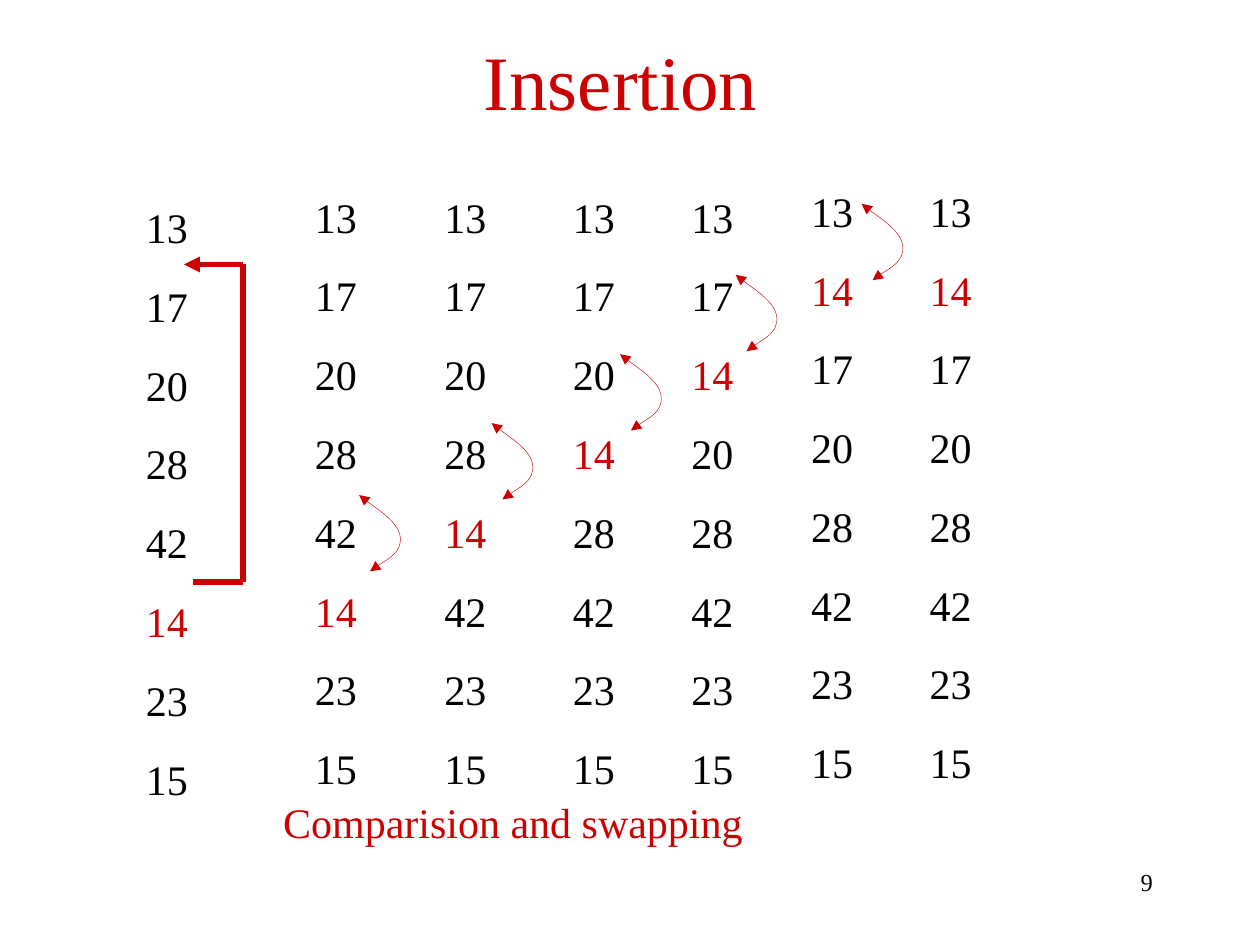
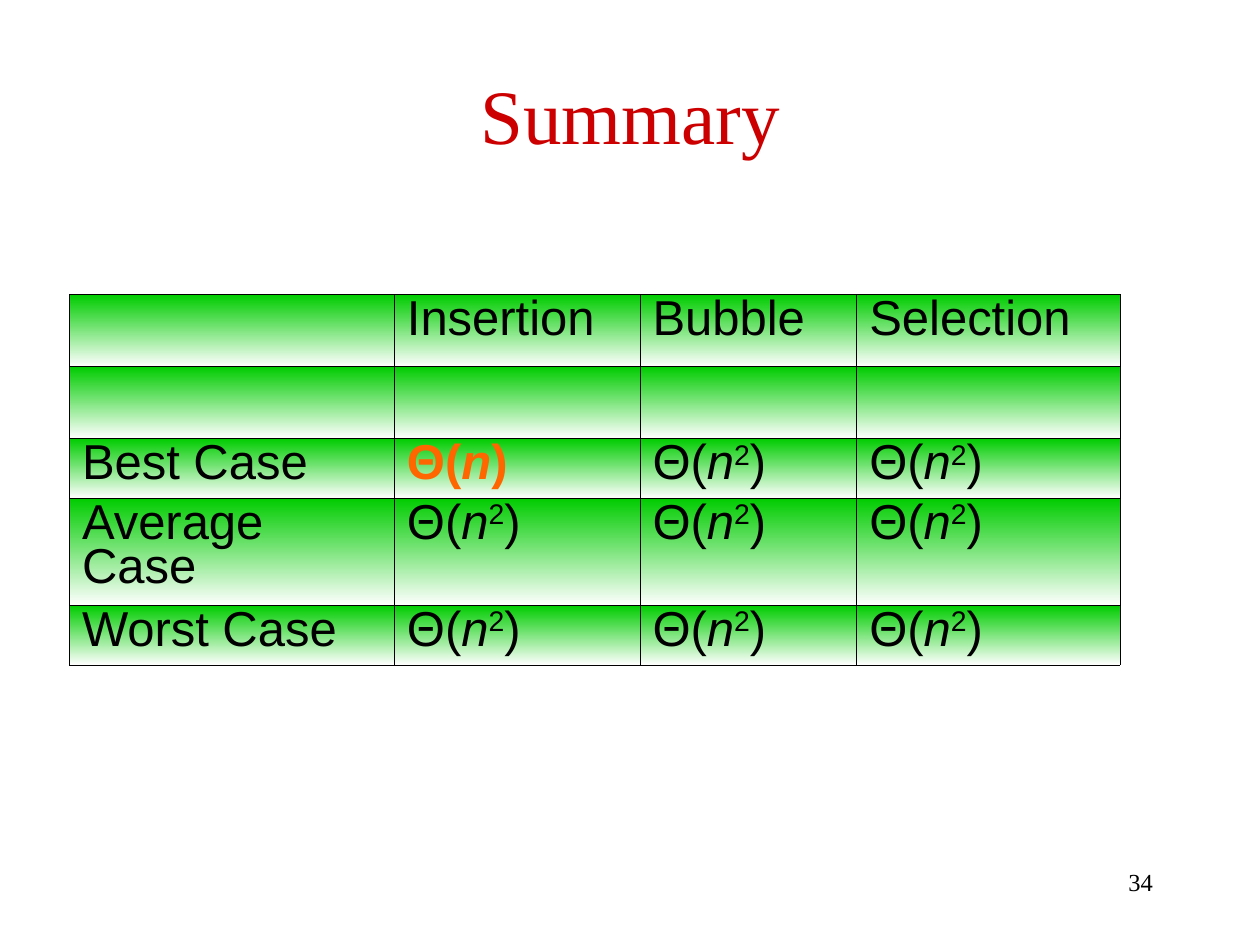
from dataclasses import dataclass

from lxml.etree import SubElement
from pptx import Presentation
from pptx.dml.color import RGBColor
from pptx.enum.shapes import MSO_CONNECTOR
from pptx.enum.text import MSO_ANCHOR, PP_ALIGN
from pptx.oxml import parse_xml
from pptx.oxml.ns import nsdecls, qn
from pptx.util import Cm, Pt


@dataclass(frozen=True)
class Theme:
    """Colours, fonts and type sizes shared by the slides."""
    ink: RGBColor = RGBColor(0x00, 0x00, 0x00)
    red: RGBColor = RGBColor(0xCC, 0x00, 0x00)
    green: RGBColor = RGBColor(0x00, 0xCC, 0x00)
    white: RGBColor = RGBColor(0xFF, 0xFF, 0xFF)
    orange: RGBColor = RGBColor(0xFF, 0x66, 0x00)
    serif: str = "Times New Roman"
    sans: str = "Arial"
    title: int = 44
    table: int = 28
    body: int = 24
    number: int = 14
    row_gap: float = 16.2


T = Theme()

SORTED = ["13", "17", "20", "28", "42"]
UNSORTED = ["23", "15"]
KEY = "14"
STEPS = [(2.69, 3.94, 5), (6.1, 3.73, 5), (8.71, 3.73, 4), (11.3, 3.73, 3),
         (13.69, 3.73, 2), (16.1, 3.61, 1), (18.49, 3.61, 1)]
SWAPS = [(7.24, 9.98), (9.91, 8.53), (12.5, 7.14), (14.83, 5.54), (17.37, 4.11)]
SWAP_CURVE = [(0.22, 1.54), (0.35, 1.42), (0.86, 1.17), (0.83, 0.85),
              (0.79, 0.54), (0.18, 0.16), (0, 0)]
BRACKET = [(0.18, 6.4), (1.19, 6.4), (1.19, 0), (0, 0)]

LINEAR = ("Θ(", "n", ")")
QUADRATIC = ("Θ(", "n", "2", ")")
CASES = [
    ["", "Insertion", "Bubble", "Selection"],
    [""] * 4,
    ["Best Case", LINEAR, QUADRATIC, QUADRATIC],
    ["Average Case"] + [QUADRATIC] * 3,
    ["Worst Case"] + [QUADRATIC] * 3,
]
COL_WIDTHS = [6.55, 4.95, 4.37, 5.31]
ROW_HEIGHTS = [1.45, 1.45, 1.19, 2.16, 1.19]


def add_run(p, text, size, color, font=T.serif):
    """Append one formatted run to a paragraph."""
    r = p.add_run()
    r.text = text
    r.font.name = font
    r.font.size = Pt(size)
    r.font.color.rgb = color
    return r


def text_box(s, box, lines, size, align=PP_ALIGN.LEFT, anchor=MSO_ANCHOR.TOP, gap=0):
    """Add a text box with one paragraph for each (text, colour) line."""
    tf = s.shapes.add_textbox(*map(Cm, box)).text_frame
    tf.word_wrap = True
    tf.vertical_anchor = anchor
    for i, (text, color) in enumerate(lines):
        p = tf.add_paragraph() if i else tf.paragraphs[0]
        p.alignment = align
        if i and gap:
            p.space_before = Pt(gap)
        add_run(p, text, size, color)


def new_slide(prs, title, top, number):
    """Add a blank slide with its title and slide number."""
    s = prs.slides.add_slide(prs.slide_layouts[6])
    text_box(s, (18.21, 17.35, 5.28, 1.27), [(number, T.ink)], T.number, PP_ALIGN.RIGHT)
    text_box(s, (1.28, top, 22.86, 2.54), [(title, T.red)], T.title,
             PP_ALIGN.CENTER, MSO_ANCHOR.MIDDLE)
    return s


def style_line(sp, width, ends=()):
    """Colour a line red and put triangles on the named ends."""
    sp.line.color.rgb = T.red
    sp.line.width = Pt(width)
    ln = sp._element.find(".//" + qn("a:ln"))
    for end in ends:
        SubElement(ln, qn(f"a:{end}"), type="triangle")


def number_column(s, x, y, position):
    """Write the numbers downwards with the key at the given position."""
    numbers = SORTED[:position] + [KEY] + SORTED[position:] + UNSORTED
    lines = [(n, T.red if n == KEY else T.ink) for n in numbers]
    text_box(s, (x, y, 1.8, 12.09), lines, T.body, gap=T.row_gap)


def insertion_bracket(s, x, y):
    """Draw the thick path from the key to its new place."""
    points = [(Cm(x + dx), Cm(y + dy)) for dx, dy in BRACKET]
    for start, end in zip(points, points[1:]):
        sp = s.shapes.add_connector(MSO_CONNECTOR.STRAIGHT, *start, *end)
        style_line(sp, 3, ["tailEnd"] if end == points[-1] else [])
        SubElement(sp._element.spPr, qn("a:effectLst"))


def swap_arrow(s, x, y):
    """Draw a curved double arrow between two neighbouring numbers."""
    points = [(Cm(x + dx), Cm(y + dy)) for dx, dy in SWAP_CURVE]
    builder = s.shapes.build_freeform(*points[0], scale=1.0)
    builder.add_line_segments(points[1:], close=False)
    sp = builder.convert_to_shape()
    sp.shadow.inherit = False
    sp.fill.background()
    style_line(sp, 0.25, ["headEnd", "tailEnd"])
    outline = sp._element.find(".//" + qn("a:path"))
    segments = outline.findall(qn("a:lnTo"))
    for i in range(0, len(segments), 3):
        curve = SubElement(outline, qn("a:cubicBezTo"))
        for segment in segments[i:i + 3]:
            curve.append(segment[0])
            outline.remove(segment)


def insertion_slide(prs):
    """Build the slide that follows one key through its swaps."""
    s = new_slide(prs, "Insertion ", 0.33, "9")
    text_box(s, (5.46, 15.93, 9.78, 1.27), [("Comparision and swapping", T.red)], T.body)
    for step in STEPS:
        number_column(s, *step)
    insertion_bracket(s, 3.71, 5.33)
    for swap in SWAPS:
        swap_arrow(s, *swap)


def style_cell(cell):
    """Give a cell its gradient and thin black borders."""
    cell.fill.gradient()
    cell.fill.gradient_angle = 270
    for stop, color in zip(cell.fill.gradient_stops, (T.green, T.white)):
        stop.color.rgb = color
    tc_pr = cell._tc.get_or_add_tcPr()
    for i, side in enumerate("LRTB"):
        tc_pr.insert(i, parse_xml(
            f'<a:ln{side} {nsdecls("a")} w="5715"><a:solidFill>'
            f'<a:srgbClr val="{T.ink}"/></a:solidFill></a:ln{side}>'))


def fill_cell(cell, content):
    """Write a label or a complexity formula into a cell."""
    p = cell.text_frame.paragraphs[0]
    p.line_spacing = 0.8
    best = content == LINEAR
    for text in [content] if isinstance(content, str) else content:
        r = add_run(p, text, T.table, T.orange if best else T.ink, T.sans)
        r.font.bold = best
        r.font.italic = text == "n"
        if text == "2":
            r.font._element.set("baseline", "30000")


def complexity_table(s, x, y):
    """Add the table of cases against sorting methods."""
    table = s.shapes.add_table(len(CASES), len(CASES[0]), Cm(x), Cm(y),
                               Cm(sum(COL_WIDTHS)), Cm(sum(ROW_HEIGHTS))).table
    table.first_row = table.horz_banding = False
    for column, width in zip(table.columns, COL_WIDTHS):
        column.width = Cm(width)
    for row, height, contents in zip(table.rows, ROW_HEIGHTS, CASES):
        row.height = Cm(height)
        for cell, content in zip(row.cells, contents):
            style_cell(cell)
            if content:
                fill_cell(cell, content)


def summary_slide(prs):
    """Build the slide that compares the three sorts."""
    s = new_slide(prs, "Summary", 1.02, "34")
    complexity_table(s, 1.4, 5.94)


def main():
    """Build and save the presentation."""
    prs = Presentation()
    prs.slide_width, prs.slide_height = Cm(25.4), Cm(19.05)
    insertion_slide(prs)
    summary_slide(prs)
    prs.save("out.pptx")


if __name__ == "__main__":
    main()
